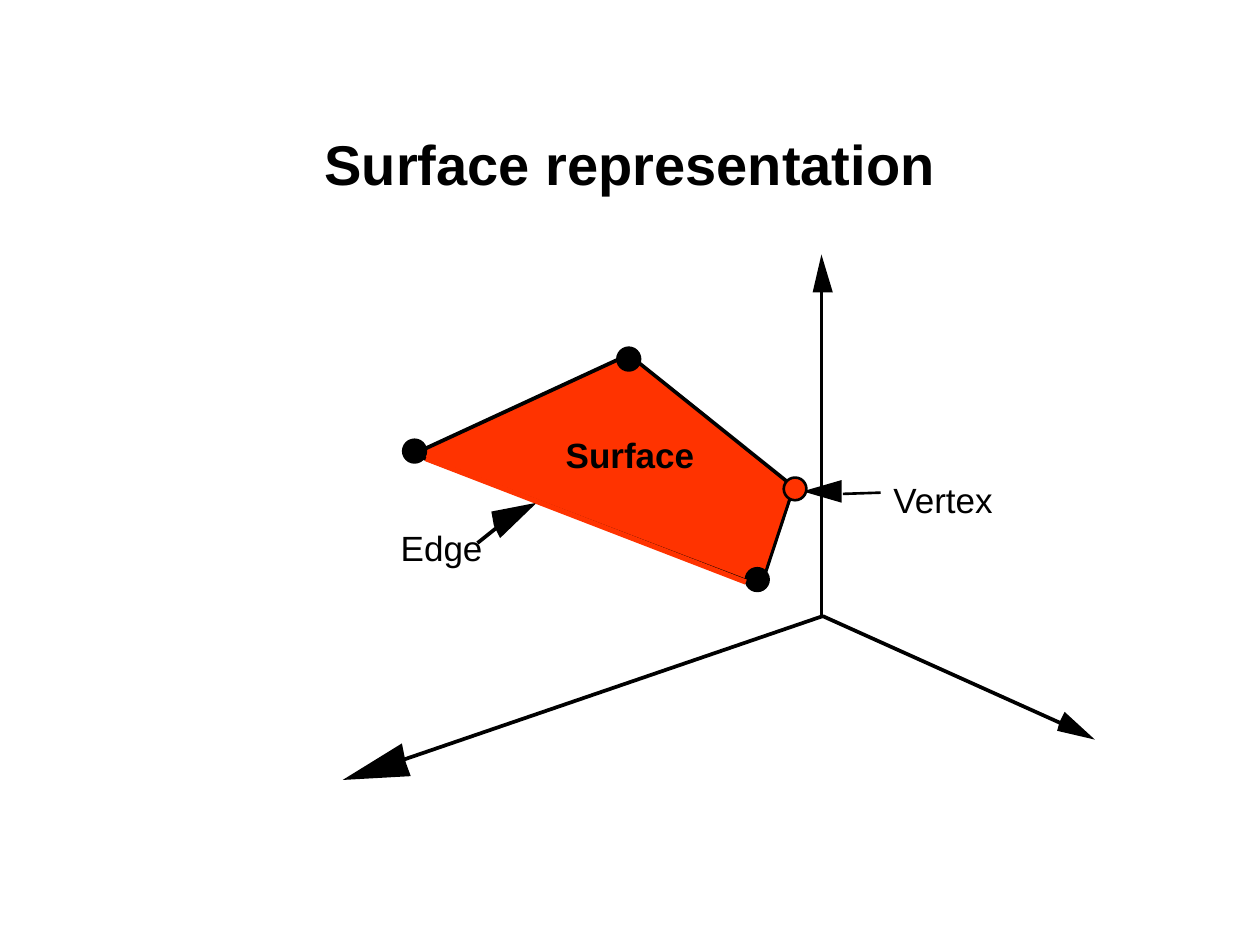
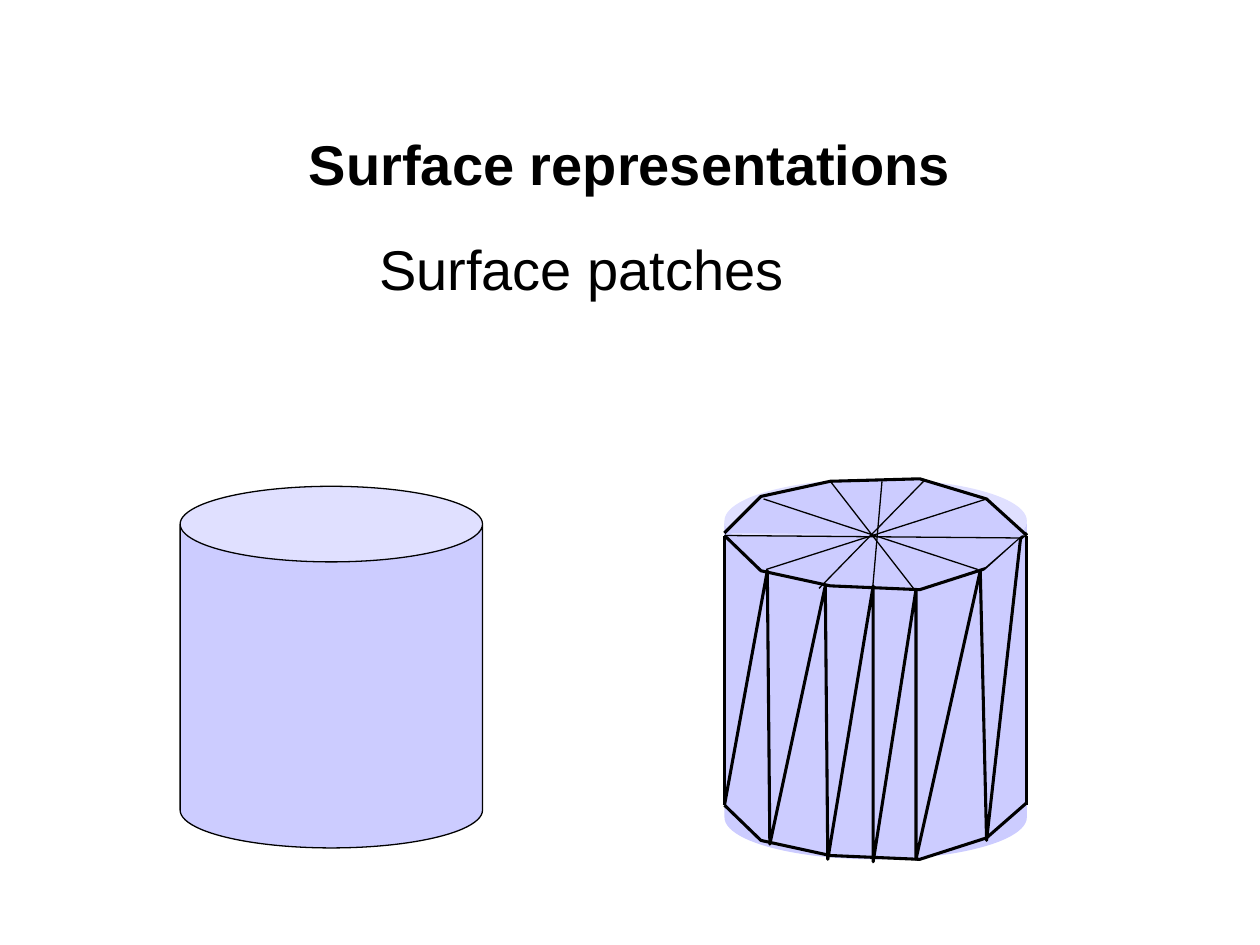
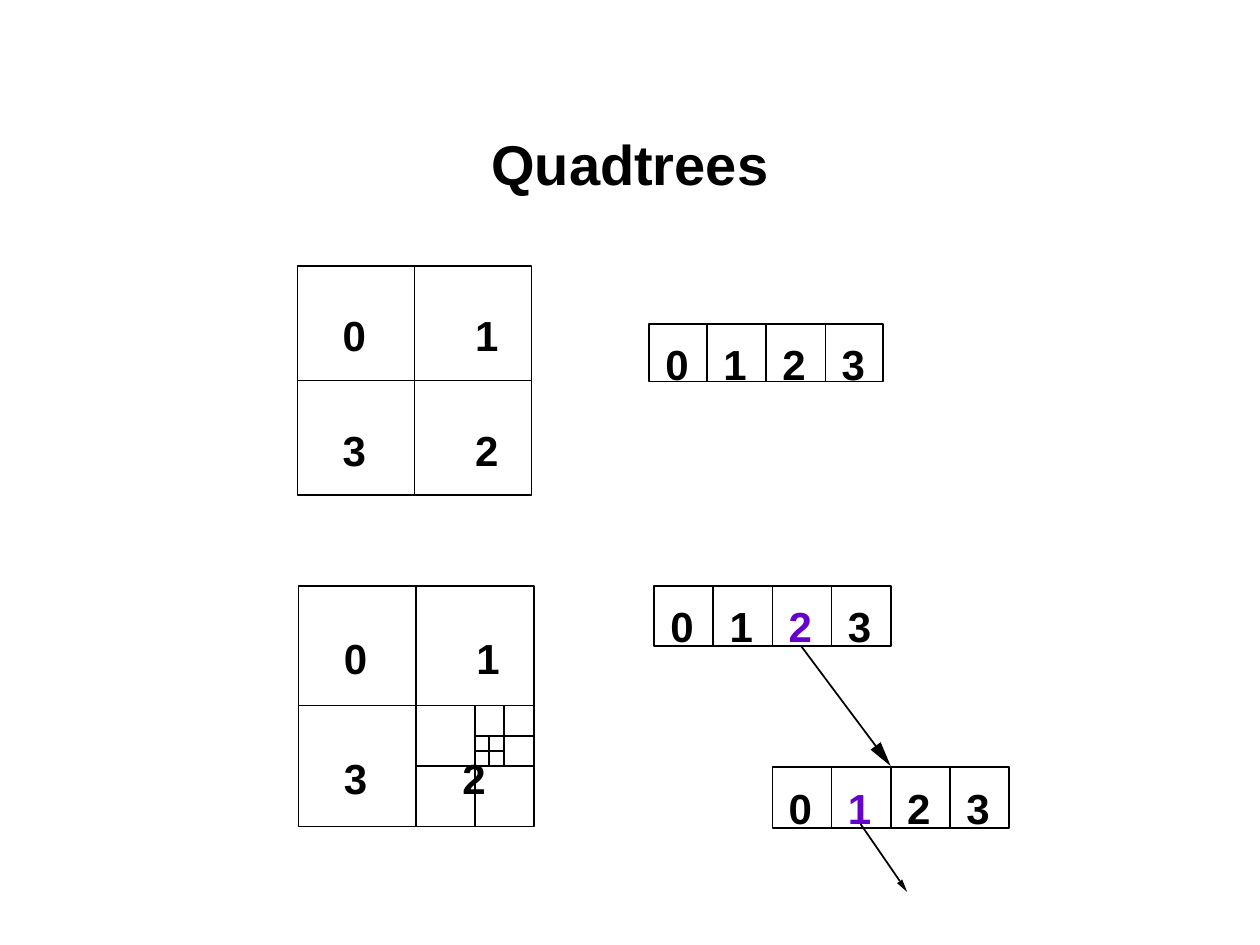
import typing

import lxml.etree
import pptx
import pptx.dml.color
import pptx.enum.shapes
import pptx.enum.text
import pptx.oxml.ns
import pptx.util

SCALE = 9144  # EMU per px, 100 px to the inch
HUES = {"ink": "000000", "paper": "FFFFFF", "red": "FF3300",
        "lilac": "CCCCFF", "violet": "6600CC"}
KIND = pptx.enum.shapes.MSO_SHAPE
ALIGN = pptx.enum.text.PP_ALIGN
FIT = pptx.enum.text.MSO_AUTO_SIZE

Point = tuple[int, int]


class Box(typing.NamedTuple):
    left: int
    top: int
    width: int
    height: int


class Label(typing.NamedTuple):
    text: str
    box: Box
    size: int = 20
    bold: bool = False
    align: typing.Any = ALIGN.CENTER
    hue: str = "ink"
    pad: Point = (0, 0)


class Line(typing.NamedTuple):
    start: Point
    end: Point
    width: float = 0.75
    hue: str = "ink"


class Strip(typing.NamedTuple):
    box: Box
    width: float
    marked: str = ""


# Shared helpers

def px(num: float) -> int:
    return round(num * SCALE)


def rgb(hue: str) -> pptx.dml.color.RGBColor:
    return pptx.dml.color.RGBColor.from_string(HUES[hue])


def style(item: typing.Any, vals: dict) -> None:
    for name, val in vals.items():
        setattr(item, name, val)


def write(frame: typing.Any, label: Label) -> typing.Any:
    para = frame.paragraphs[0]
    para.alignment = label.align
    run = para.add_run()
    run.text = label.text
    style(run.font, {"name": "Arial", "size": pptx.util.Pt(label.size), "bold": label.bold})
    run.font.color.rgb = rgb(label.hue)
    return para


def add_label(slide: typing.Any, label: Label) -> None:
    frame = slide.shapes.add_textbox(*map(px, label.box)).text_frame
    wide, tall = map(px, label.pad)
    style(frame, {"margin_left": wide, "margin_right": wide, "margin_top": tall,
                  "margin_bottom": tall, "word_wrap": False,
                  "auto_size": FIT.SHAPE_TO_FIT_TEXT})
    write(frame, label)


def paint(shape: typing.Any, fill: str | None, width: float) -> None:
    shape.shadow.inherit = False
    if fill:
        shape.fill.solid()
        shape.fill.fore_color.rgb = rgb(fill)
    else:
        shape.fill.background()
    if width:
        shape.line.color.rgb = rgb("ink")
        shape.line.width = pptx.util.Pt(width)
    else:
        shape.line.fill.background()


def add_shape(slide: typing.Any, kind: typing.Any, box: Box, fill: str,
              width: float) -> typing.Any:
    shape = slide.shapes.add_shape(kind, *map(px, box))
    paint(shape, fill, width)
    return shape


def add_form(slide: typing.Any, points: list[Point], fill: str | None = "ink",
             width: float = 0, close: bool = True) -> None:
    form = slide.shapes.build_freeform(*points[0], scale=SCALE)
    form.add_line_segments(points[1:], close=close)
    paint(form.convert_to_shape(), fill, width)


def add_line(slide: typing.Any, line: Line) -> None:
    link = slide.shapes.add_connector(pptx.enum.shapes.MSO_CONNECTOR.STRAIGHT,
                                      *map(px, line.start + line.end))
    link.line.color.rgb = rgb(line.hue)
    link.line.width = pptx.util.Pt(line.width)
    lxml.etree.SubElement(link._element.spPr, pptx.oxml.ns.qn("a:effectLst"))


def add_arrow(slide: typing.Any, head: list[Point], line: Line) -> None:
    add_form(slide, head)
    add_line(slide, line)


def add_slide(deck: typing.Any, text: str) -> typing.Any:
    slide = deck.slides.add_slide(deck.slide_layouts[5])
    title = slide.shapes.title
    style(title, dict(zip(Box._fields, map(px, Box(75, 67, 850, 125)))))
    style(title.text_frame, {"word_wrap": True, "auto_size": FIT.NONE,
                             "vertical_anchor": pptx.enum.text.MSO_ANCHOR.MIDDLE})
    para = write(title.text_frame, Label(text, Box(0, 0, 0, 0), 32, True))
    style(para, {"space_before": pptx.util.Pt(12), "space_after": pptx.util.Pt(6)})
    return slide


# Slide 1: a surface in space

def draw_surface(deck: typing.Any) -> None:
    slide = add_slide(deck, "Surface representation")
    face = [(328, 361), (604, 466), (630, 387), (499, 282)]
    add_form(slide, face, "red", 1.5)
    for label in (Label("Surface", Box(447, 344, 106, 33), bold=True),
                  Label("Vertex", Box(707, 380, 83, 33)),
                  Label("Edge", Box(317, 418, 67, 33))):
        add_label(slide, label)

    # Pointers, then the three axes
    for head, line in (
        ([(637, 390), (668, 381), (668, 399)], Line((699, 391), (669, 392), 1.5)),
        ([(426, 399), (397, 427), (392, 417), (390, 406)], Line((379, 431), (394, 419), 2.13)),
        ([(869, 587), (839, 580), (841, 573), (845, 565)], Line((653, 489), (842, 574), 2.13)),
        ([(272, 619), (319, 590), (322, 605), (326, 616)], Line((653, 489), (320, 603), 2.13)),
        ([(652, 202), (661, 232), (645, 232)], Line((652, 490), (652, 226), 1.5)),
    ):
        add_arrow(slide, head, line)

    # Outline and corners
    add_form(slide, [(x, y - 1) for x, y in face], None, 1.5)
    for left, top, fill in ((490, 276, "ink"), (592, 451, "ink"),
                            (320, 349, "ink"), (622, 379, "red")):
        add_shape(slide, KIND.OVAL, Box(left, top, 18, 18), fill, 1.5)
    add_line(slide, Line((338, 364), (592, 462), 3, "red"))


# Slide 2: smooth and faceted cylinders

def add_can(slide: typing.Any, box: Box, bend: float, width: float) -> None:
    can = add_shape(slide, KIND.CAN, box, "lilac", width)
    can.adjustments[0] = bend


def draw_patches(deck: typing.Any) -> None:
    slide = add_slide(deck, "Surface representations")
    add_label(slide, Label("Surface patches", Box(291, 181, 345, 64), 32,
                           align=ALIGN.LEFT, pad=(10, 5)))
    add_can(slide, Box(575, 380, 240, 302), 0.278, 0)
    for x in (575, 815):
        add_line(slide, Line((x, 425), (x, 639), 1.75))

    # Rims and side facets
    front = [(575, 425), (604, 453), (659, 465), (730, 468), (783, 451), (815, 423)]
    base = [(x, y + 214) for x, y in front]
    rear = [(575, 423), (604, 394), (659, 382), (730, 380), (783, 396), (815, 425)]
    sides = [(575, 639), (609, 453), (611, 670), (655, 465), (657, 682), (693, 465),
             (693, 684), (727, 468), (727, 682), (778, 453), (783, 667), (810, 427)]
    for points in (front, base, rear, sides):
        add_form(slide, points, "lilac", 1.75, close=False)

    # Spokes across the lid
    for start, end in (((608, 452), (783, 396)), ((650, 467), (733, 382)),
                       ((692, 474), (700, 382)), ((725, 467), (659, 382)),
                       ((776, 452), (606, 396)), ((810, 427), (575, 425))):
        add_line(slide, Line(start, end))
    add_can(slide, Box(143, 386, 240, 287), 0.25, 0.75)


# Slide 3: quadtrees

def add_digit(slide: typing.Any, text: str, left: int, top: int, hue: str = "ink") -> None:
    add_label(slide, Label(text, Box(left, top, 19, 40), 24, True, ALIGN.LEFT, hue))


def split(slide: typing.Any, box: Box, width: float) -> list[Box]:
    """Draw a cross and return the quarters, clockwise from top left."""
    left, top, wide, tall = box
    half, mid = wide // 2, tall // 2
    x, y = left + half, top + mid
    add_line(slide, Line((x, top), (x, top + tall), width))
    add_line(slide, Line((left, y), (left + wide, y), width))
    return [Box(left, top, half, mid), Box(x, top, wide - half, mid),
            Box(x, y, wide - half, tall - mid), Box(left, y, half, tall - mid)]


def add_tree(slide: typing.Any, box: Box, width: float, drop: int,
             route: tuple[int, ...] = (), shift: int = 0) -> None:
    add_shape(slide, KIND.RECTANGLE, box, "paper", width)
    parts = split(slide, box, width)
    for num, part in enumerate(parts):
        inset = (36, 48, 48 - shift, 36)[num]
        add_digit(slide, str(num), part.left + inset, part.top + drop)
    for num in route:
        parts = split(slide, parts[num], width)


def add_strip(slide: typing.Any, strip: Strip) -> None:
    left, top, wide, tall = strip.box
    add_shape(slide, KIND.RECTANGLE, strip.box, "paper", strip.width)
    for num in range(4):
        x = left + round(num * wide / 4)
        if num:
            add_line(slide, Line((x, top), (x, top + tall), strip.width))
        hue = "violet" if str(num) == strip.marked else "ink"
        add_digit(slide, str(num), x + 13, top + 12, hue)


def draw_trees(deck: typing.Any) -> None:
    slide = add_slide(deck, "Quadtrees")
    add_tree(slide, Box(236, 211, 186, 182), 0.88, 35)
    add_tree(slide, Box(237, 465, 187, 191), 1, 37, (2, 1, 3), 11)
    for strip in (Strip(Box(515, 257, 186, 46), 0.88),
                  Strip(Box(519, 465, 188, 48), 1, "2"),
                  Strip(Box(613, 609, 188, 48), 1, "1")):
        add_strip(slide, strip)

    # Links to the next level
    add_arrow(slide, [(707, 608), (691, 595), (699, 589)], Line((636, 513), (695, 592), 1))
    add_arrow(slide, [(720, 708), (712, 701), (716, 698)], Line((683, 654), (714, 699), 1))


def main() -> None:
    deck = pptx.Presentation()
    style(deck, {"slide_width": px(1000), "slide_height": px(750)})
    for draw in (draw_surface, draw_patches, draw_trees):
        draw(deck)
    deck.save("out.pptx")


if __name__ == "__main__":
    main()
